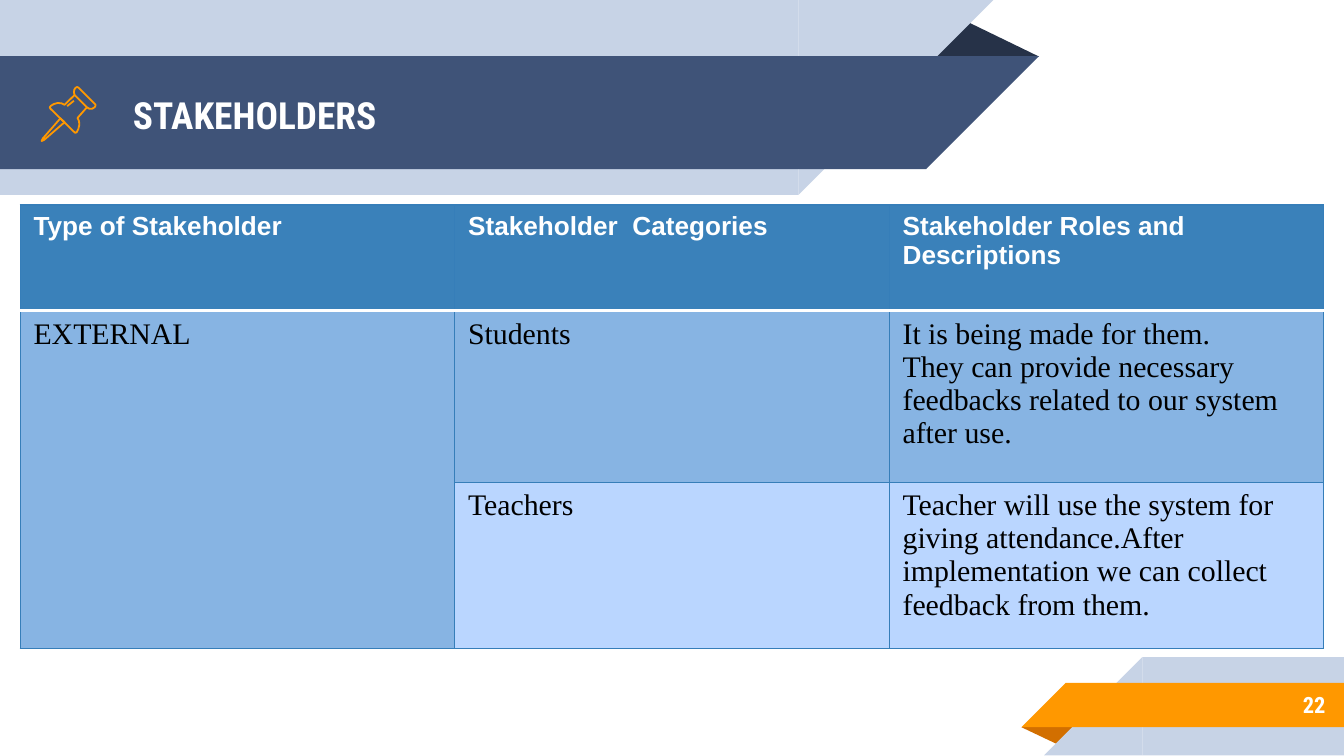
"""Build the stakeholders slide with its ribbons, pin icon and table."""
from lxml import etree
from pptx import Presentation
from pptx.dml.color import RGBColor
from pptx.enum.shapes import MSO_SHAPE
from pptx.enum.text import MSO_ANCHOR, PP_ALIGN
from pptx.oxml.ns import qn
from pptx.util import Pt

RECT, WEDGE = MSO_SHAPE.RECTANGLE, MSO_SHAPE.RIGHT_TRIANGLE
FOLD = MSO_SHAPE.ISOSCELES_TRIANGLE
MIDDLE, LEFT, RIGHT = MSO_ANCHOR.MIDDLE, PP_ALIGN.LEFT, PP_ALIGN.RIGHT

PALE, NAVY, DARK = "C7D3E6", "3F5378", "263248"
GOLD, RUST, WHITE, BLACK = "FF9800", "D26F00", "FFFFFF", "000000"
HEAD, BAND, LIGHT, EDGE = "3A81BA", "87B4E3", "BAD6FF", "367EB9"

RIBBONS = [
    (FOLD, (495.4, 10.1, 61.2, 20.2), DARK, 0, False),
    (RECT, (0, 0, 427.7, 104.4), PALE, 180, True),
    (WEDGE, (427.7, 0, 104.4, 104.4), PALE, 180, True),
    (RECT, (0, 30.1, 496.1, 60.5), NAVY, 180, True),
    (WEDGE, (496.1, 30.1, 60.5, 60.5), NAVY, 180, True),
    (FOLD, (547.2, 389.6, 31, 10), RUST, 180, False),
    (RECT, (612, 352.1, 108, 52.6), PALE, 0, True),
    (WEDGE, (559.4, 352.1, 52.6, 52.6), PALE, 0, True),
    (RECT, (571, 365.8, 149, 23.8), GOLD, 0, True),
    (WEDGE, (547.2, 365.8, 23.8, 23.8), GOLD, 0, True),
]
LABELS = [
    ("STAKEHOLDERS", (64.1, 31, 432.7, 60.5), 20, LEFT),
    ("22", (599.8, 365, 117.4, 25.2), 12, RIGHT),
]
PIN = [
    (True, [(32.4, 63.4), (23, 74.2), (22.3, 75.6), (23.8, 74.9), (34.6, 65.5)]),
    (True, [(40, 50.9), (46.6, 57.5), (48, 58.3), (49.5, 58.2), (50.8, 57.4),
            (51.2, 56.6), (51.1, 56), (42, 46.9), (41.3, 46.6), (40.5, 47),
            (39.8, 48), (39.6, 49.6)]),
    (False, [(40, 50.9), (34.6, 56.2), (33, 55.4), (31, 55.2), (28.8, 55.8),
             (27.2, 56.8), (26.7, 57.5), (27, 58.2), (39.6, 70.6), (40.4, 71.2),
             (41.2, 70.8), (42, 69.2), (42.5, 67), (42.4, 65), (41.6, 63.2),
             (46.6, 57.5)]),
    (False, [(36, 56.9), (39.6, 54)]),
]
ROWS = [
    ["Type of Stakeholder", "Stakeholder  Categories",
     "Stakeholder Roles and Descriptions"],
    ["EXTERNAL", "Students",
     "It is being made for them.\nThey can provide necessary feedbacks "
     "related to our system after use."],
    ["", "Teachers",
     "Teacher will use the system for giving attendance.After "
     "implementation we can collect feedback from them."],
]
HEIGHTS = [56.7, 91.8, 89.2]
TABLE = (10.8, 109.8, 698.4, sum(HEIGHTS))


def color(code):
    return RGBColor.from_string(code)


def box(sizes):
    return [Pt(size) for size in sizes]


def style(frame, font, size, code, bold, align=LEFT):
    for para in frame.paragraphs:
        para.alignment = align
        for run in para.runs:
            run.font.name, run.font.size, run.font.bold = font, Pt(size), bold
            run.font.color.rgb = color(code)


def ribbon(shapes, kind, place, code, turn, flip):
    shape = shapes.add_shape(kind, *box(place))
    shape.shadow.inherit = False
    shape.fill.solid()
    shape.fill.fore_color.rgb = color(code)
    shape.line.fill.background()
    shape.rotation = turn
    if kind == FOLD:
        shape.adjustments[0] = 0.32
    if flip:
        shape.element.spPr.find(qn("a:xfrm")).set("flipH", "1")


def label(shapes, text, place, size, align):
    frame = shapes.add_textbox(*box(place)).text_frame
    frame.word_wrap = True
    frame.vertical_anchor = MIDDLE
    frame.margin_left = frame.margin_right = Pt(7.2)
    frame.margin_top = frame.margin_bottom = Pt(7.2)
    frame.text = text
    style(frame, "Roboto Condensed", size, WHITE, True, align)


def stroke(shapes, closed, points):
    first, *rest = [box(point) for point in points]
    pen = shapes.build_freeform(*first)
    pen.add_line_segments(rest, close=closed)
    shape = pen.convert_to_shape()
    shape.shadow.inherit = False
    shape.fill.background()
    shape.line.color.rgb = color(GOLD)
    shape.line.width = Pt(0.96)


def border(cell, side, code, width):
    props = cell._tc.get_or_add_tcPr()
    line = etree.SubElement(props, qn("a:ln" + side), w=str(Pt(width)))
    fill = etree.SubElement(line, qn("a:solidFill"))
    etree.SubElement(fill, qn("a:srgbClr"), val=code)


def grid(shapes):
    table = shapes.add_table(len(ROWS), len(ROWS[0]), *box(TABLE)).table
    table.first_row = table.horz_banding = False
    for col in table.columns:
        col.width = Pt(TABLE[2] / len(ROWS[0]))
    for r, (texts, height) in enumerate(zip(ROWS, HEIGHTS)):
        table.rows[r].height = Pt(height)
        for c, text in enumerate(texts):
            cell = table.cell(r, c)
            rule = {"L": (EDGE, 0.75), "R": (EDGE, 0.75),
                    "T": (WHITE, 2) if r == 1 else (EDGE, 0.75),
                    "B": (WHITE, 2) if r == 0 else (EDGE, 0.75)}
            for side, (code, width) in rule.items():
                border(cell, side, code, width)
            cell.fill.solid()
            shade = BAND if c == 0 and r else (HEAD, BAND, LIGHT)[r]
            cell.fill.fore_color.rgb = color(shade)
            cell.text_frame.text = text
            if r == 0:
                style(cell.text_frame, "Arial", 14, WHITE, True)
            else:
                style(cell.text_frame, "Times New Roman", 16, BLACK, False)
    table.cell(1, 0).merge(table.cell(2, 0))


def main():
    deck = Presentation()
    deck.slide_width, deck.slide_height = Pt(720), Pt(405)
    shapes = deck.slides.add_slide(deck.slide_layouts[6]).shapes
    for item in RIBBONS:
        ribbon(shapes, *item)
    for item in LABELS:
        label(shapes, *item)
    for item in PIN:
        stroke(shapes, *item)
    grid(shapes)
    deck.save("out.pptx")


if __name__ == "__main__":
    main()
